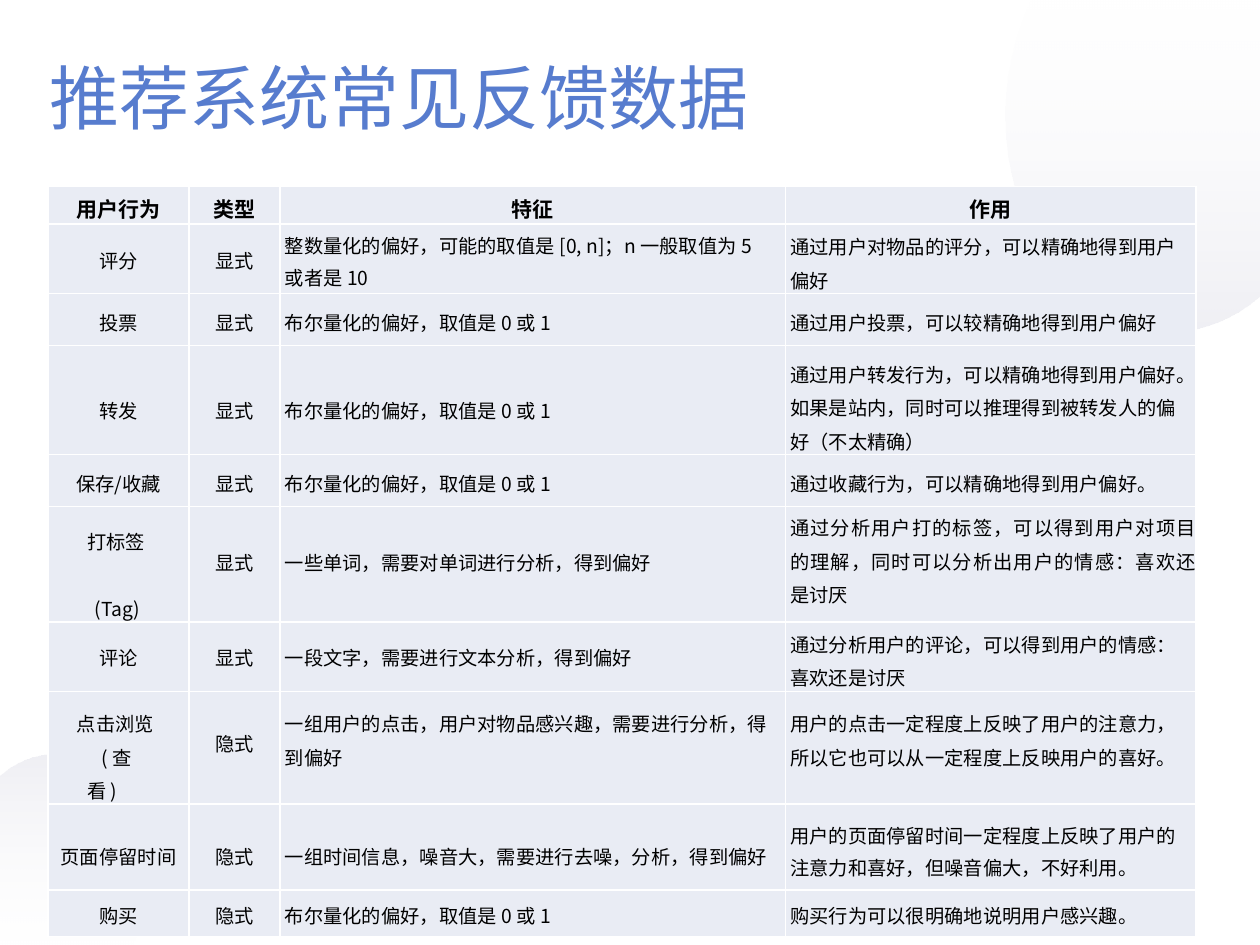
from lxml.etree import SubElement
from pptx import Presentation
from pptx.dml.color import RGBColor
from pptx.enum.text import MSO_AUTO_SIZE as AutoSize, PP_ALIGN as Align
from pptx.oxml.ns import qn
from pptx.util import Cm, Pt

FONT = "Noto Sans CJK SC"
COLORS = {"title": "577CCE", "text": "000000", "cell": "E9ECF4", "border": "FFFFFF",
          "fade": "FFFFFF", "shade": "BEBED2"}
COLUMNS = [2.84, 1.83, 10.19, 8.28]
HEADINGS = ["用户行为", "类型", "特征", "作用"]
BOOLEAN = "布尔量化的偏好，取值是 0 或 1"
CURVE_STEPS = 16
BLOB_START = (0.1, 0)
BLOB_EDGE = [(1, 0), (1, 0.89), (0.95, 0.92)]
BLOB_CURVES = [[(0.86, 0.97), (0.75, 1), (0.64, 1)],
               [(0.29, 1), (0, 0.71), (0, 0.35)],
               [(0, 0.24), (0.03, 0.13), (0.08, 0.04)]]


def line(text, **style):
    return {"text": text, **style}


def entry(top, *lines, **style):
    return top, [{**style, **(item if isinstance(item, dict) else line(item))} for item in lines]


def label(top, text, **style):
    return entry(top, text, align=Align.CENTER, **style)


def body(top, *lines, **style):
    return entry(top, *lines, **{"indent": 0.1, **style})


def simple_row(height, top, name, kind, feature, effect):
    return height, [label(top, name), label(top, kind), body(top, feature), effect]


ROWS = [
    (0.76, [label(0.13, heading, size=12, bold=True) for heading in HEADINGS]),
    (1.35, [label(0.43, "评分"), label(0.43, "显式"),
            body(0.13, "整数量化的偏好，可能的取值是 [0, n]；n 一般取值为 5",
                 line("或者是 10", before=2.6)),
            body(0.05, "通过用户对物品的评分，可以精确地得到用户 偏好", spacing=1.2)]),
    simple_row(1.04, 0.28, "投票", "显式", BOOLEAN,
               body(0.28, "通过用户投票，可以较精确地得到用户偏好")),
    simple_row(2.13, 1.02, "转发", "显式", BOOLEAN,
               body(0.18, "通过用户转发行为，可以精确地得到用户偏好。 如果是站内，"
                          "同时可以推理得到被转发人的偏 好（不太精确）", spacing=1.2)),
    simple_row(1.04, 0.28, "保存/收藏", "显式", BOOLEAN,
               body(0.28, "通过收藏行为，可以精确地得到用户偏好。")),
    (1.83, [body(0.3, line("打标签", indent=0.79), line("(Tag)", indent=0.94, before=19.2),
                 spacing=1.2),
            label(0.84, "显式"), body(0.84, "一些单词，需要对单词进行分析，得到偏好"),
            body(0.03, "通过分析用户打的标签，可以得到用户对项目 的理解，"
                       "同时可以分析出用户的情感：喜欢还 是讨厌", spacing=1.2,
                 align=Align.JUSTIFY)]),
    simple_row(1.35, 0.43, "评论", "显式", "一段文字，需要进行文本分析，得到偏好",
               body(0.05, "通过分析用户的评论，可以得到用户的情感： 喜欢还是讨厌", spacing=1.2)),
    (1.73, [body(0.25, line("点击浏览", indent=0.58), line("( 查", indent=1.07),
                 line("看 )", indent=0.79), spacing=1.2),
            label(0.77, "隐式"),
            body(0.25, "一组用户的点击，用户对物品感兴趣，需要进行分析，得 到偏好", spacing=1.2),
            body(0.25, "用户的点击一定程度上反映了用户的注意力， "
                       "所以它也可以从一定程度上反映用户的喜好。", spacing=1.2)]),
    simple_row(1.73, 0.77, "页面停留时间", "隐式", "一组时间信息，噪音大，需要进行去噪，分析，得到偏好",
               body(0.33, "用户的页面停留时间一定程度上反映了用户的",
                    line("注意力和喜好，但噪音偏大，不好利用。", before=2.6))),
    simple_row(0.94, 0.23, "购买", "隐式", BOOLEAN,
               body(0.23, "购买行为可以很明确地说明用户感兴趣。")),
]


def rgb(name):
    return RGBColor.from_string(COLORS[name])


def write(para, text, size=11, color="text", bold=False, align=Align.LEFT,
          spacing=None, before=0, indent=0):
    para.alignment = align
    para.space_before = Pt(before)
    if spacing:
        para.line_spacing = spacing
    para._p.get_or_add_pPr().set("marL", str(Cm(indent)))
    span = para.add_run()
    span.text = text
    font = span.font
    font.size, font.bold, font.name = Pt(size), bold, FONT
    font.color.rgb = rgb(color)
    SubElement(span._r.get_or_add_rPr(), qn("a:ea"), typeface=FONT)


def curve_points(start, first, second, end):
    for step in range(1, CURVE_STEPS + 1):
        t = step / CURVE_STEPS
        weights = ((1 - t) ** 3, 3 * t * (1 - t) ** 2, 3 * t * t * (1 - t), t ** 3)
        yield tuple(sum(weight * point[axis] for weight, point
                        in zip(weights, (start, first, second, end))) for axis in (0, 1))


def add_blob(page, left, top, width, height, rotation=0):
    points = list(BLOB_EDGE)
    for curve in BLOB_CURVES:
        points.extend(curve_points(points[-1], *curve))

    def place(point):
        return Cm(left + point[0] * width), Cm(top + point[1] * height)

    builder = page.shapes.build_freeform(*place(BLOB_START))
    builder.add_line_segments([place(point) for point in points], close=True)
    blob = builder.convert_to_shape()
    blob.shadow.inherit = False
    blob.line.fill.background()
    blob.rotation = rotation
    blob.fill.gradient()
    blob.fill.gradient_angle = 270
    for stop, name in zip(blob.fill.gradient_stops, ("fade", "shade")):
        stop.color.rgb = rgb(name)
    gradient = blob._element.spPr.find(qn("a:gradFill"))
    for color, alpha in zip(gradient.iter(qn("a:srgbClr")), (10000, 24000)):
        SubElement(color, qn("a:alpha"), val=str(alpha))


def add_title(page, left, top, width, height):
    box = page.shapes.add_textbox(Cm(left), Cm(top), Cm(width), Cm(height))
    frame = box.text_frame
    frame.word_wrap = True
    frame.auto_size = AutoSize.SHAPE_TO_FIT_TEXT
    frame.margin_left = frame.margin_right = frame.margin_bottom = 0
    frame.margin_top = Cm(0.03)
    write(frame.paragraphs[0], "推荐系统常见反馈数据", size=40, color="title", indent=0.03)


def fill_cell(cell, top, lines):
    cell.margin_left = cell.margin_right = cell.margin_bottom = 0
    cell.margin_top = Cm(top)
    for number, item in enumerate(lines):
        frame = cell.text_frame
        write(frame.add_paragraph() if number else frame.paragraphs[0], **item)
    properties = cell._tc.get_or_add_tcPr()
    for side in ("lnL", "lnR", "lnT", "lnB"):
        border = SubElement(properties, qn(f"a:{side}"), w=str(Pt(1)))
        solid = SubElement(border, qn("a:solidFill"))
        SubElement(solid, qn("a:srgbClr"), val=COLORS["border"])
    cell.fill.solid()
    cell.fill.fore_color.rgb = rgb("cell")


def add_feedback_table(page, left, top):
    height = sum(row_height for row_height, _ in ROWS)
    table = page.shapes.add_table(len(ROWS), len(COLUMNS), Cm(left), Cm(top),
                                  Cm(sum(COLUMNS)), Cm(height)).table
    table.horz_banding = False
    for column, width in zip(table.columns, COLUMNS):
        column.width = Cm(width)
    for row, (row_height, entries) in zip(table.rows, ROWS):
        row.height = Cm(row_height)
        for cell, (cell_top, lines) in zip(row.cells, entries):
            fill_cell(cell, cell_top, lines)


def main():
    deck = Presentation()
    deck.slide_width, deck.slide_height = Cm(25.4), Cm(19.05)
    page = deck.slides.add_slide(deck.slide_layouts[6])
    add_blob(page, 20.27, 0, 5.13, 6.68)
    add_blob(page, 0, 15.21, 2.95, 3.84, rotation=180)
    add_feedback_table(page, 0.97, 3.76)
    add_title(page, 0.97, 1.07, 17.63, 1.75)
    deck.save("out.pptx")


if __name__ == "__main__":
    main()
